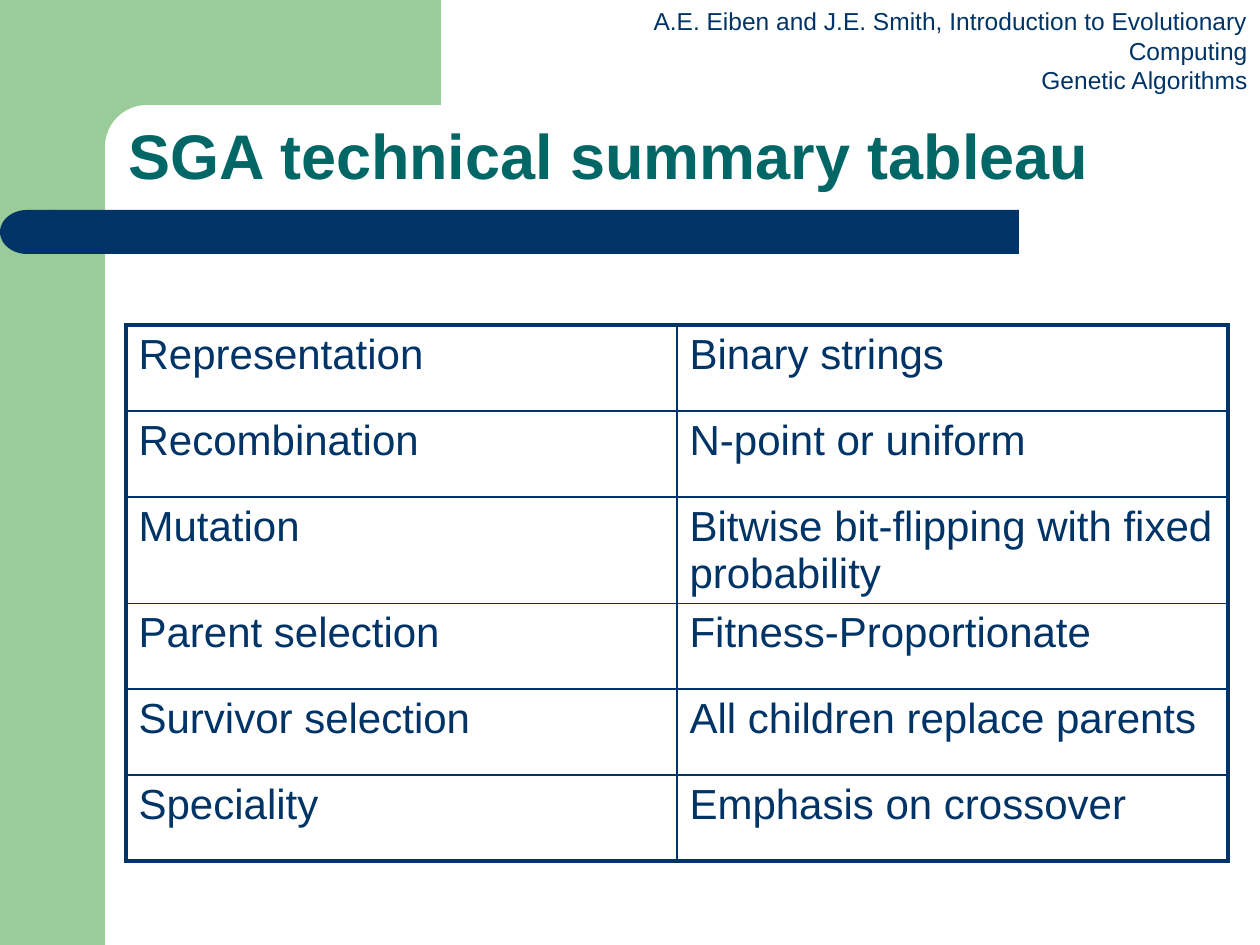
import lxml.etree
import pptx
import pptx.dml.color
import pptx.enum.shapes
import pptx.enum.text
import pptx.oxml.ns
import pptx.util

PX = 914400 / 126
NAVY = pptx.dml.color.RGBColor(0x00, 0x33, 0x66)
GREEN = pptx.dml.color.RGBColor(0x99, 0xCC, 0x99)
TEAL = pptx.dml.color.RGBColor(0x00, 0x66, 0x66)
WHITE = pptx.dml.color.RGBColor(0xFF, 0xFF, 0xFF)
FONT = "Arial"
SHAPE = pptx.enum.shapes.MSO_SHAPE
ALIGN = pptx.enum.text.PP_ALIGN
ANCHOR = pptx.enum.text.MSO_ANCHOR
AUTO_SIZE = pptx.enum.text.MSO_AUTO_SIZE

HEADER = ["A.E. Eiben and J.E. Smith, Introduction to Evolutionary Computing",
          "Genetic Algorithms"]
SUMMARY = [
    ("Representation", "Binary strings"),
    ("Recombination", "N-point or uniform"),
    ("Mutation", "Bitwise bit-flipping with fixed probability"),
    ("Parent selection", "Fitness-Proportionate"),
    ("Survivor selection", "All children replace parents"),
    ("Speciality", "Emphasis on crossover"),
]


def emu(*pixels):
    return [pptx.util.Emu(round(p * PX)) for p in pixels]


def style(paragraph, size, color, bold=False):
    font = paragraph.font
    font.name, font.size, font.bold = FONT, pptx.util.Pt(size), bold
    font.color.rgb = color


def add_block(slide, preset, box, color):
    block = slide.shapes.add_shape(preset, *emu(*box))
    block.shadow.inherit = False
    block.fill.solid()
    block.fill.fore_color.rgb = color
    block.line.fill.background()
    return block


def add_backdrop(slide, left, top, width, height):
    # Green side band and corner, with the rounded white panel over them
    add_block(slide, SHAPE.RECTANGLE, (left, top, 105, height), GREEN)
    add_block(slide, SHAPE.RECTANGLE, (left + 95, top, 346, 147), GREEN)
    panel = add_block(slide, SHAPE.ROUNDED_RECTANGLE,
                      (left + 105, top + 105, 703, 84), WHITE)
    panel.adjustments[0] = 0.5


def add_title_bar(slide, left, top, width, height):
    # Navy bar with a rounded left end
    cap = 54
    add_block(slide, SHAPE.RECTANGLE,
              (left + cap - 1, top, width - cap + 1, height), NAVY)
    end = add_block(slide, SHAPE.FLOWCHART_DELAY, (left, top, cap, height), NAVY)
    end.rotation = 180


def add_header(slide, left, top, width, height):
    frame = slide.shapes.add_textbox(*emu(left, top, width, height)).text_frame
    frame.word_wrap = True
    frame.text = "\n".join(HEADER)
    for paragraph in frame.paragraphs:
        paragraph.alignment = ALIGN.RIGHT
        style(paragraph, 14, NAVY)


def place_title(slide, left, top, width, height):
    title = slide.shapes.title
    title.left, title.top, title.width, title.height = emu(left, top, width, height)
    frame = title.text_frame
    frame.text = "SGA technical summary tableau"
    frame.word_wrap = True
    frame.auto_size = AUTO_SIZE.NONE
    frame.vertical_anchor = ANCHOR.BOTTOM
    paragraph = frame.paragraphs[0]
    paragraph.alignment = ALIGN.LEFT
    paragraph.line_spacing = 0.9
    style(paragraph, 36, TEAL, bold=True)
    # Bring the title in front of the backdrop
    slide.shapes._spTree.append(title._element)


def set_borders(cell, widths):
    properties = cell._tc.get_or_add_tcPr()
    qn = pptx.oxml.ns.qn
    for index, (side, points) in enumerate(zip("LRTB", widths)):
        line = lxml.etree.Element(qn(f"a:ln{side}"), w=str(pptx.util.Pt(points)))
        fill = lxml.etree.SubElement(line, qn("a:solidFill"))
        lxml.etree.SubElement(fill, qn("a:srgbClr"), val=str(NAVY))
        properties.insert(index, line)


def add_summary(slide, left, top, width, row_height):
    rows, columns = len(SUMMARY), len(SUMMARY[0])
    table = slide.shapes.add_table(
        rows, columns, *emu(left, top, width, row_height * rows)).table
    table.first_row = table.horz_banding = False
    for column in table.columns:
        column.width = emu(width / columns)[0]
    for r, entries in enumerate(SUMMARY):
        table.rows[r].height = emu(row_height)[0]
        for c, entry in enumerate(entries):
            cell = table.cell(r, c)
            cell.text = entry
            style(cell.text_frame.paragraphs[0], 24, NAVY)
            cell.fill.background()
            # Thick lines on the outer edge, thin ones inside
            outer = (c == 0, c == columns - 1, r == 0, r == rows - 1)
            set_borders(cell, [2.25 if edge else 1 for edge in outer])


presentation = pptx.Presentation()
presentation.slide_width, presentation.slide_height = emu(1260, 945)
slide = presentation.slides.add_slide(presentation.slide_layouts[5])
add_backdrop(slide, 0, 0, 1260, 945)
add_title_bar(slide, 0, 210, 1019, 44)
add_header(slide, 519, 0, 741, 72)
place_title(slide, 116, 105, 1102, 94)
add_summary(slide, 126, 325, 1102, 86)
presentation.save("out.pptx")
